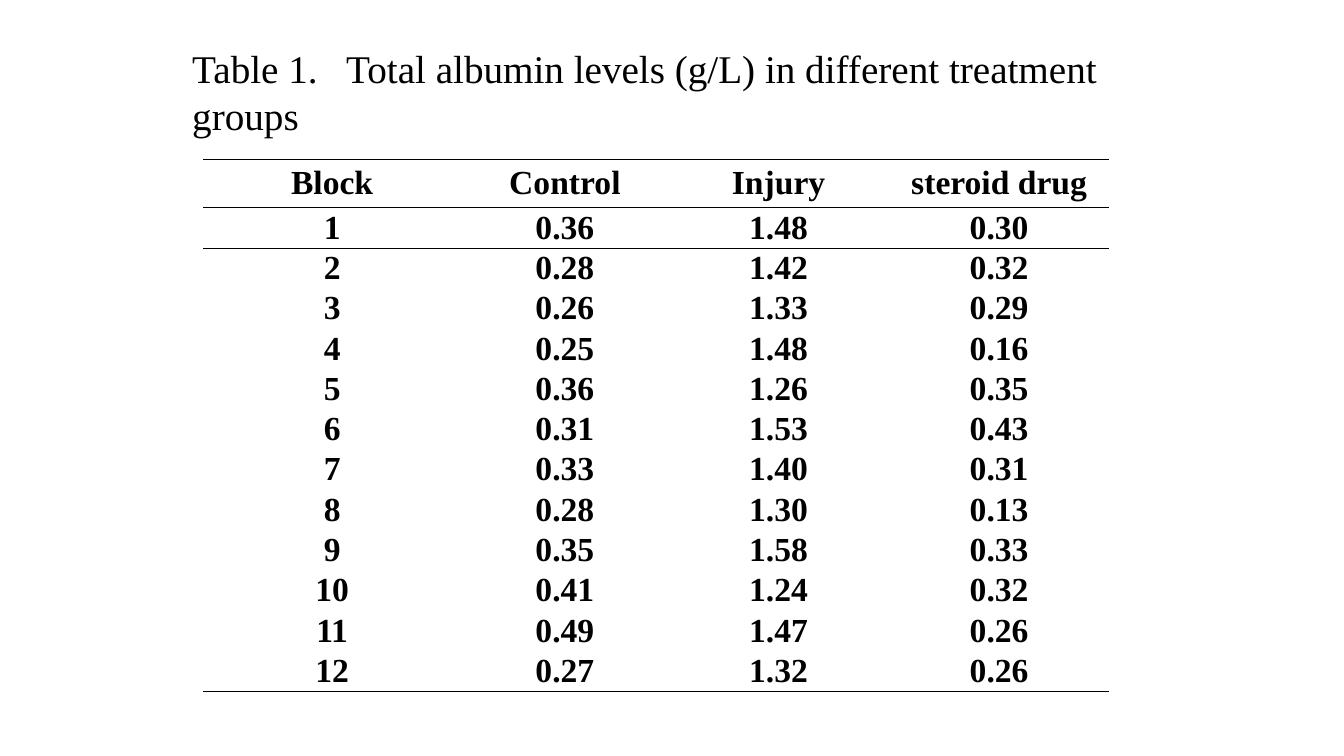
from lxml import etree
from pptx import Presentation
from pptx.dml.color import RGBColor
from pptx.enum.text import MSO_ANCHOR, MSO_AUTO_SIZE, PP_ALIGN
from pptx.oxml.ns import qn
from pptx.util import Cm, Pt

LEFT, CENTER = PP_ALIGN.LEFT, PP_ALIGN.CENTER
TOP, MIDDLE = MSO_ANCHOR.TOP, MSO_ANCHOR.MIDDLE
NO_AUTOFIT = MSO_AUTO_SIZE.NONE
TITLE_ONLY = 5
PLAIN_TABLE_STYLE = "{2D5ABB26-0587-4C30-8999-92F81FD0307C}"

HEADINGS = ["Block", "Control", "Injury", "steroid drug"]
ALBUMIN_LEVELS = [
    ("0.36", "1.48", "0.30"),
    ("0.28", "1.42", "0.32"),
    ("0.26", "1.33", "0.29"),
    ("0.25", "1.48", "0.16"),
    ("0.36", "1.26", "0.35"),
    ("0.31", "1.53", "0.43"),
    ("0.33", "1.40", "0.31"),
    ("0.28", "1.30", "0.13"),
    ("0.35", "1.58", "0.33"),
    ("0.41", "1.24", "0.32"),
    ("0.49", "1.47", "0.26"),
    ("0.27", "1.32", "0.26"),
]
COLUMN_WIDTHS = [6.52, 5.21, 5.56, 5.56]
HEADER_HEIGHT = 1.22
TABLE_HEIGHT = 13.42


def color(value):
    return RGBColor.from_string(value)


def write(frame, text, *, font, ink, size, bold=False, align=LEFT):
    """Write one formatted paragraph and return it."""
    para = frame.paragraphs[0]
    para.alignment = align
    para.line_spacing = 1.0
    span = para.add_run()
    span.text = text
    span.font.name = font
    span.font.size = Pt(size)
    span.font.bold = bold
    span.font.color.rgb = color(ink)
    return para


class Page:
    """The slide in work and the style its elements share."""

    font = "Times New Roman"
    ink = "000000"

    def __init__(self, deck):
        self.slide = deck.slides.add_slide(deck.slide_layouts[TITLE_ONLY])

    def title(self, text, left, top, width, height, tab_stop):
        box = self.slide.shapes.title
        box.left, box.top, box.width, box.height = map(Cm, (left, top, width, height))
        frame = box.text_frame
        frame.word_wrap = True
        frame.auto_size = NO_AUTOFIT
        frame.vertical_anchor = TOP
        para = write(frame, text, font=self.font, ink=self.ink, size=28)
        tabs = etree.SubElement(para._p.get_or_add_pPr(), qn("a:tabLst"))
        etree.SubElement(tabs, qn("a:tab"), pos=str(Cm(tab_stop)), algn="l")

    def table(self, rows, left, top, widths, header_height, height, rules):
        """Add a table; rules maps a row boundary to its line width in points."""
        frame = self.slide.shapes.add_table(
            len(rows), len(widths), Cm(left), Cm(top), Cm(sum(widths)), Cm(height))
        table = frame.table
        table.first_row = table.horz_banding = False
        table._tbl.tblPr.find(qn("a:tableStyleId")).text = PLAIN_TABLE_STYLE
        for column, width in zip(table.columns, widths):
            column.width = Cm(width)
        body_height = (height - header_height) / (len(rows) - 1)
        for index, values in enumerate(rows):
            table.rows[index].height = Cm(body_height if index else header_height)
            for cell, text in zip(table.rows[index].cells, values):
                self.cell(cell, text, rules.get(index), rules.get(index + 1))

    def cell(self, cell, text, rule_above, rule_below):
        cell.fill.background()
        cell.vertical_anchor = MIDDLE
        cell.margin_left = cell.margin_right = Cm(0.18)
        cell.margin_top = cell.margin_bottom = 0
        write(cell.text_frame, text, font=self.font, ink=self.ink, size=24,
              bold=True, align=CENTER)
        properties = cell._tc.get_or_add_tcPr()
        for tag, weight in (("a:lnB", rule_below), ("a:lnT", rule_above)):
            if weight:
                line = etree.Element(qn(tag), w=str(Pt(weight)))
                fill = etree.SubElement(line, qn("a:solidFill"))
                etree.SubElement(fill, qn("a:srgbClr"), val=self.ink)
                properties.insert(0, line)


def main():
    deck = Presentation()
    deck.slide_width, deck.slide_height = Cm(33.87), Cm(19.05)
    page = Page(deck)
    page.title("Table 1.\tTotal albumin levels (g/L) in different treatment groups",
               4.59, 0.99, 24.13, 2.64, tab_stop=3.88)
    rows = [HEADINGS] + [
        (str(block), *levels) for block, levels in enumerate(ALBUMIN_LEVELS, 1)]
    page.table(rows, 5.11, 4.01, COLUMN_WIDTHS, HEADER_HEIGHT, TABLE_HEIGHT,
               rules={0: 1, 1: 0.5, len(rows): 1})
    deck.save("out.pptx")


if __name__ == "__main__":
    main()
